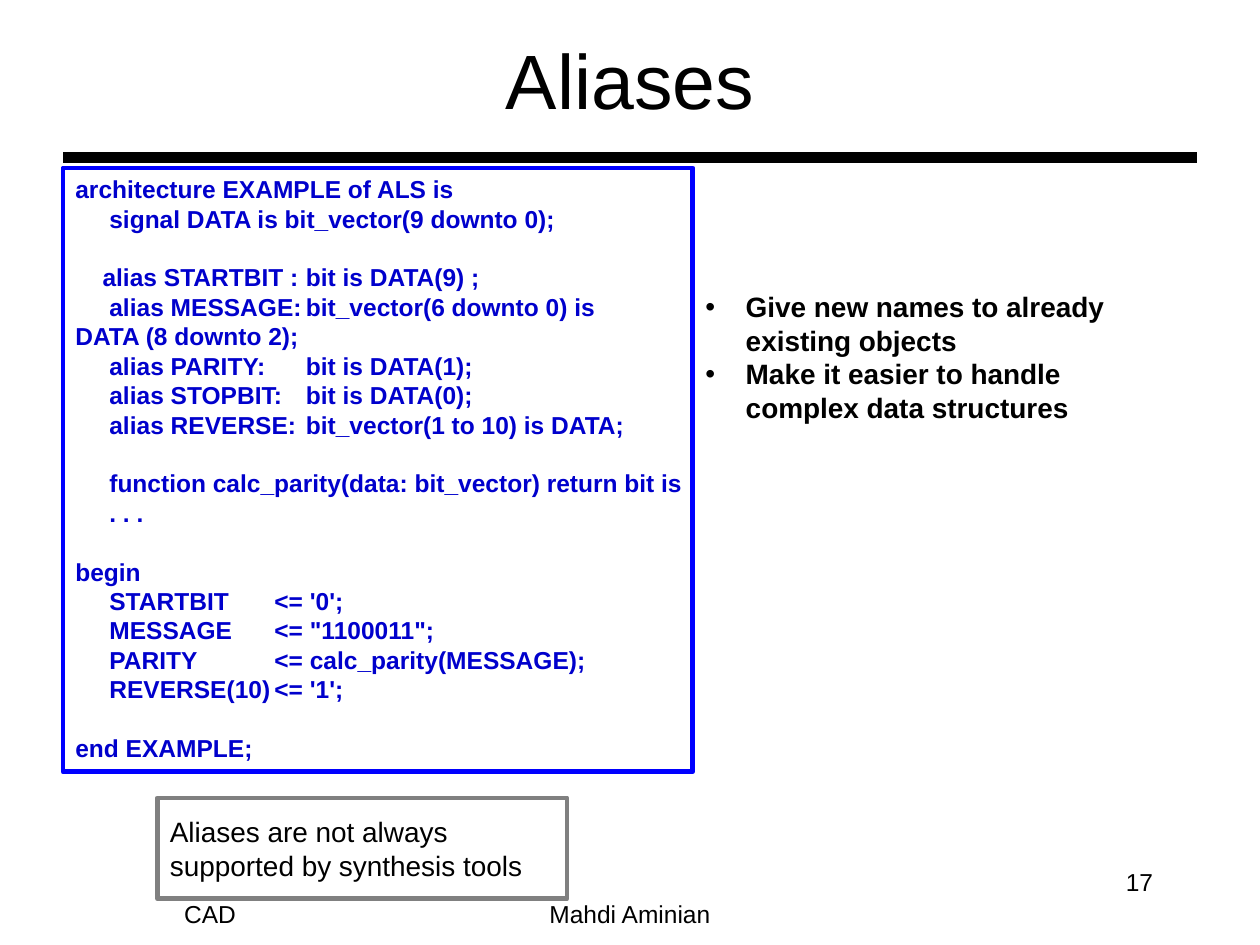
from lxml.etree import SubElement
from pptx import Presentation
from pptx.dml.color import RGBColor
from pptx.enum.shapes import MSO_CONNECTOR, MSO_SHAPE
from pptx.enum.text import MSO_ANCHOR as ANCHOR, PP_ALIGN as ALIGN
from pptx.oxml.ns import qn
from pptx.util import Inches, Pt

COLORS = {"ink": "000000", "code": "0000CC", "code_edge": "0000FF", "note_edge": "808080"}
FONT = "Arial"
CELL = 1 / 12
COLS, ROWS = 120, 90
LEADING = 1.2
EDGE = 2.75

TITLE = "Aliases"
COURSE, AUTHOR, PAGE = "CAD", "Mahdi Aminian", "17"
NOTE = "Aliases are not always supported by synthesis tools"
BENEFITS = [
    "Give new names to already existing objects",
    "Make it easier to handle complex data structures",
]
ALIAS_TAB, ASSIGN_TAB = 1.83, 1.58
CODE = [
    (None, [
        "architecture EXAMPLE of ALS is",
        "     signal DATA is bit_vector(9 downto 0);",
    ]),
    (ALIAS_TAB, [
        "    alias STARTBIT :\tbit is DATA(9) ;",
        "     alias MESSAGE:\tbit_vector(6 downto 0) is",
        "DATA (8 downto 2);",
        "     alias PARITY:\tbit is DATA(1);",
        "     alias STOPBIT:\tbit is DATA(0);",
        "     alias REVERSE:\tbit_vector(1 to 10) is DATA;",
    ]),
    (None, [
        "     function calc_parity(data: bit_vector) return bit is",
        "     . . .",
    ]),
    (ASSIGN_TAB, [
        "begin",
        "     STARTBIT\t<= '0';",
        "     MESSAGE\t<= \"1100011\";",
        "     PARITY\t<= calc_parity(MESSAGE);",
        "     REVERSE(10)\t<= '1';",
    ]),
    (None, ["end EXAMPLE;"]),
]


def rgb(name):
    return RGBColor.from_string(COLORS[name])


def grid(*cells):
    return [Inches(cell * CELL) for cell in cells]


def text_box(slide, cells, anchor=ANCHOR.TOP):
    frame = slide.shapes.add_textbox(*grid(*cells)).text_frame
    frame.word_wrap = True
    frame.vertical_anchor = anchor
    return frame


def framed_box(slide, cells, edge, anchor=ANCHOR.TOP):
    box = slide.shapes.add_shape(MSO_SHAPE.RECTANGLE, *grid(*cells))
    box.shadow.inherit = False
    box.fill.background()
    box.line.color.rgb = rgb(edge)
    box.line.width = Pt(EDGE)
    box.text_frame.word_wrap = True
    box.text_frame.vertical_anchor = anchor
    return box.text_frame


def write(frame, lines, size, color="ink", bold=False, align=ALIGN.LEFT):
    frame.text = "\n".join(lines)
    for paragraph in frame.paragraphs:
        paragraph.alignment = align
        paragraph.line_spacing = Pt(size * LEADING)
        for run in paragraph.runs:
            run.font.name = FONT
            run.font.size = Pt(size)
            run.font.bold = bold
            run.font.color.rgb = rgb(color)


def add_bullet(paragraph, indent):
    props = paragraph._p.get_or_add_pPr()
    props.set("marL", str(Inches(indent)))
    props.set("indent", str(-Inches(indent)))
    SubElement(props, qn("a:buFont"), typeface=FONT)
    SubElement(props, qn("a:buChar"), char="•")


def add_tab(paragraph, position):
    tabs = SubElement(paragraph._p.get_or_add_pPr(), qn("a:tabLst"))
    SubElement(tabs, qn("a:tab"), pos=str(Inches(position)), algn="l")


def write_code(frame, size):
    frame.margin_right = Inches(0.05)
    write(frame, [line for _, lines in CODE for line in lines], size, "code", True)
    paragraphs = iter(frame.paragraphs)
    for section, (tab, lines) in enumerate(CODE):
        for row, line in enumerate(lines):
            paragraph = next(paragraphs)
            if section and row == 0:
                paragraph.space_before = Pt(size * LEADING)
            if "\t" in line:
                add_tab(paragraph, tab)


def add_rule(slide):
    rule = slide.shapes.add_connector(MSO_CONNECTOR.STRAIGHT, *grid(6, 15, COLS - 6, 15))
    rule.line.color.rgb = rgb("ink")
    rule.line.width = Pt(6)
    SubElement(rule._element.spPr, qn("a:effectLst"))


def main():
    """Build the slide on VHDL aliases."""
    deck = Presentation()
    deck.slide_width, deck.slide_height = grid(COLS, ROWS)
    slide = deck.slides.add_slide(deck.slide_layouts[6])

    add_rule(slide)
    for text, cells, size in [
        (COURSE, (1, 84, 38, 6), 14),
        (TITLE, (9, 0, 102, 15), 44),
        (AUTHOR, (41, 84, 38, 6), 14),
    ]:
        write(text_box(slide, cells, ANCHOR.MIDDLE), [text], size, align=ALIGN.CENTER)
    write(text_box(slide, (103, 82, 8, 6)), [PAGE], 14, align=ALIGN.RIGHT)

    write_code(framed_box(slide, (6, 16, 60, 57.5), "code_edge"), 14)
    benefits = text_box(slide, (66, 27, 45, 15.5))
    write(benefits, BENEFITS, 16, bold=True)
    for paragraph in benefits.paragraphs:
        add_bullet(paragraph, 0.32)
    note = framed_box(slide, (15, 76, 39, 9.6), "note_edge", ANCHOR.MIDDLE)
    write(note, [NOTE], 16)

    deck.save("out.pptx")


if __name__ == "__main__":
    main()
